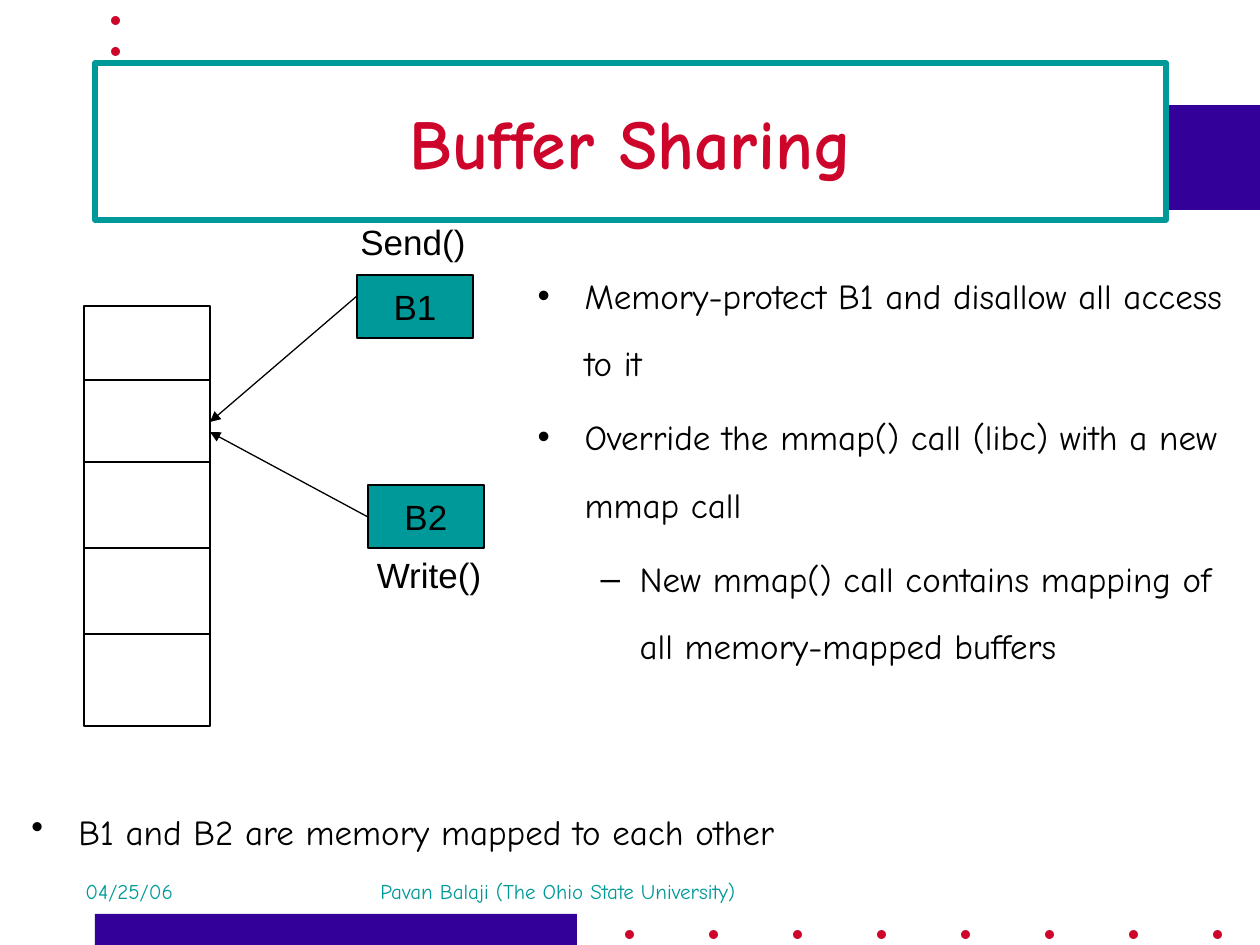
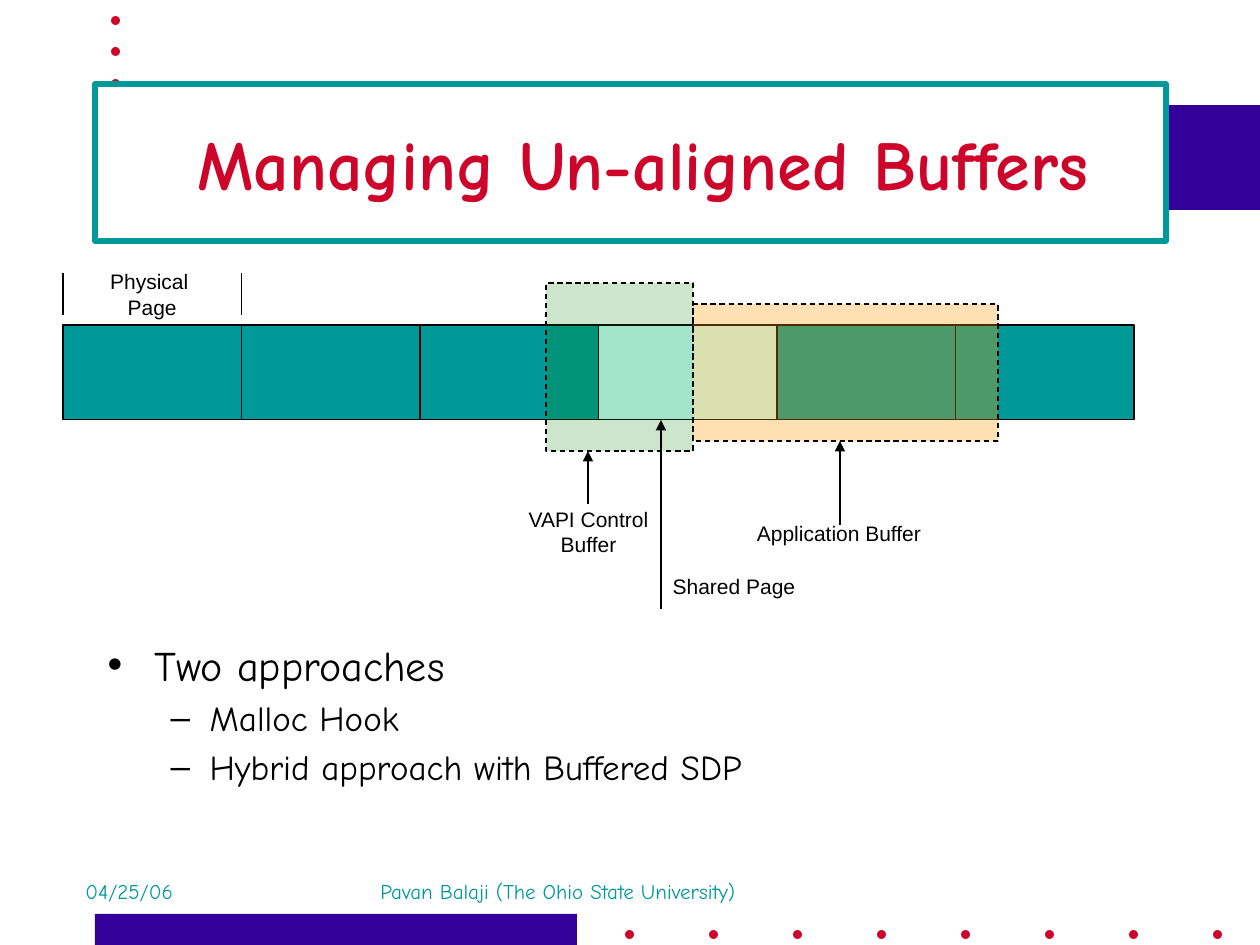
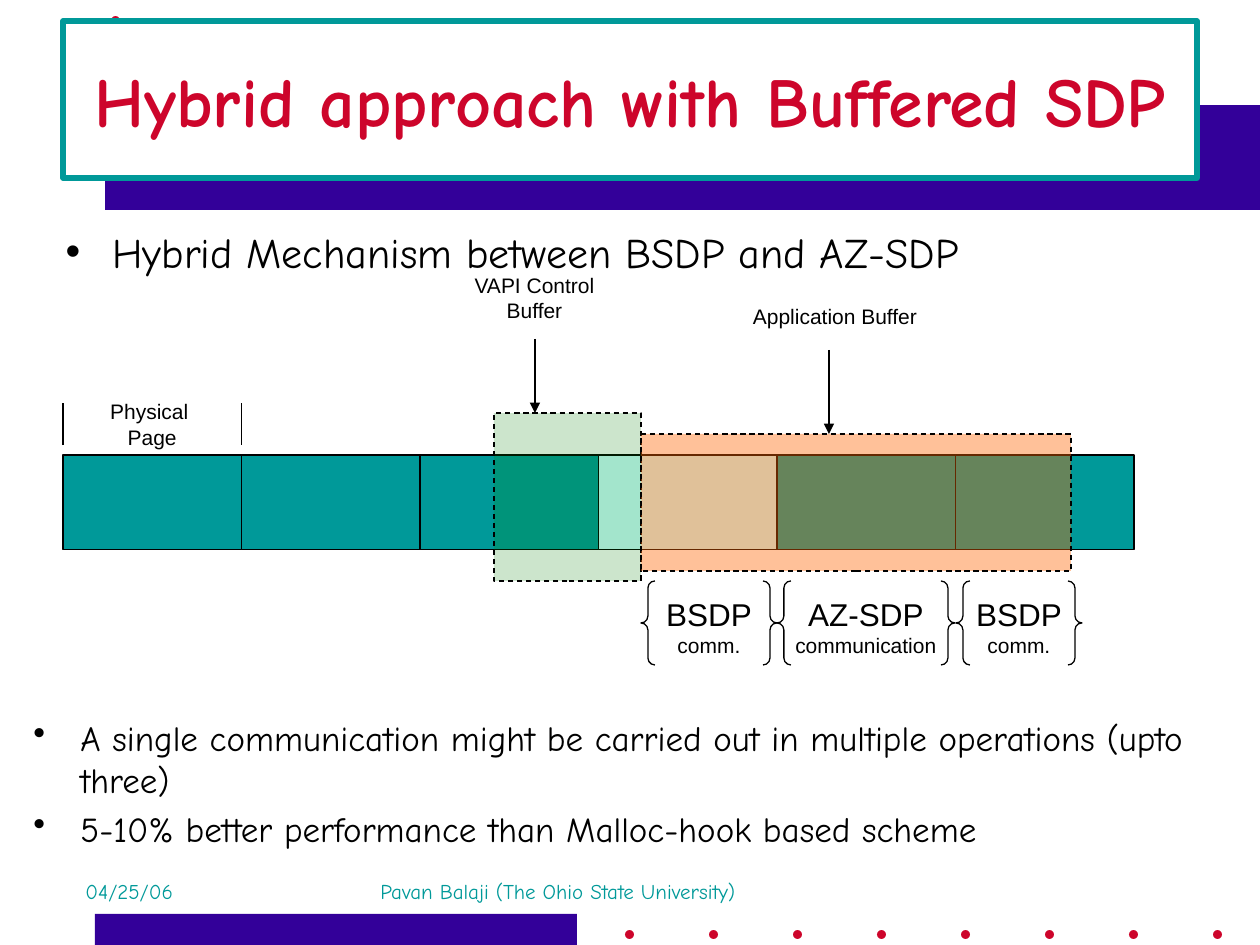
from lxml import etree
from pptx import Presentation
from pptx import util as u
from pptx.dml.color import RGBColor
from pptx.enum import dml, shapes, text
from pptx.oxml.ns import qn

SCALE = 914400 / 126  # EMU in one px
HUES = {
    "ink": "000000", "white": "FFFFFF", "teal": "009999", "pale": "CCFFFF",
    "red": "CD052B", "navy": "330099", "green": "008000",
    "amber": "FF9900", "orange": "FF6600",
}
COMIC, ARIAL = "Comic Neue", "Arial"
RECT = shapes.MSO_SHAPE.RECTANGLE
OVAL = shapes.MSO_SHAPE.OVAL
BRACE = shapes.MSO_SHAPE.LEFT_BRACE
PAIR = shapes.MSO_SHAPE.DOUBLE_BRACE
MID = text.PP_ALIGN.CENTER
INDENTS = [(47, -47, "•"), (102, -39, "–")]  # margin, indent, bullet


def px(n):
    return u.Emu(round(n * SCALE))


def hue(name):
    return RGBColor.from_string(HUES[name])


def style(para, size, font, color="ink", bold=False):
    for run in para.runs:
        run.font.size = u.Pt(size)
        run.font.name = font
        run.font.bold = bold
        run.font.color.rgb = hue(color)


def write(frame, words, sizes, font=ARIAL, color="ink", align=MID, bold=False):
    """Fill a frame; sizes holds one size per paragraph."""
    frame.text = words
    for para, size in zip(frame.paragraphs, sizes):
        para.alignment = align
        style(para, size, font, color, bold)


def place(item, box):
    item.left, item.top, item.width, item.height = map(px, box)


def shape(slide, kind, box, fill=None, line="ink", alpha=None):
    item = slide.shapes.add_shape(kind, *map(px, box))
    item.shadow.inherit = False
    if fill:
        item.fill.solid()
        item.fill.fore_color.rgb = hue(fill)
    else:
        item.fill.background()
    if alpha:
        clr = item._element.spPr.find(".//" + qn("a:srgbClr"))
        etree.SubElement(clr, qn("a:alpha"), val=str(alpha * 1000))
    if line:
        item.line.color.rgb = hue(line)
        item.line.width = u.Pt(0.75)
    else:
        item.line.fill.background()
    return item


def block(slide, kind, box, words, sizes, fill=None):
    """Shape with centred words."""
    item = shape(slide, kind, box, fill)
    frame = item.text_frame
    frame.word_wrap = False
    frame.vertical_anchor = text.MSO_ANCHOR.MIDDLE
    write(frame, words, sizes)
    return item


def zone(slide, box, fill, alpha):
    """See-through dashed area."""
    item = shape(slide, RECT, box, fill, alpha=alpha)
    item.line.dash_style = dml.MSO_LINE.DASH


def label(slide, box, words, size=12, wrap=True, **kw):
    item = slide.shapes.add_textbox(*map(px, box))
    item.text_frame.word_wrap = wrap
    write(item.text_frame, words, [size], **kw)


def line(slide, x1, y1, x2, y2, arrow=False):
    link = slide.shapes.add_connector(
        shapes.MSO_CONNECTOR.STRAIGHT, *map(px, (x1, y1, x2, y2)))
    link.line.color.rgb = hue("ink")
    link.line.width = u.Pt(0.75)
    if arrow:
        etree.SubElement(link.line._get_or_add_ln(), qn("a:tailEnd"), type="triangle")
    etree.SubElement(link._element.spPr, qn("a:effectLst"))


def points(item, box, rows, space=1.0):
    """Bulleted list; each row is (level, size, words)."""
    place(item, box)
    frame = item.text_frame
    frame.word_wrap = True
    frame.auto_size = text.MSO_AUTO_SIZE.NONE
    frame.text = "\n".join(row[2] for row in rows)
    for i, (para, (level, size, _)) in enumerate(zip(frame.paragraphs, rows)):
        margin, indent, mark = INDENTS[level]
        para.level = level
        props = para._p.get_or_add_pPr()
        props.set("marL", str(px(margin)))
        props.set("indent", str(px(indent)))
        etree.SubElement(props, qn("a:buChar"), char=mark)
        para.line_spacing = space
        para.space_before = u.Pt(size * 0.2 if i else 0)
        style(para, size, COMIC)


def listing(slide, box, rows, space=1.0):
    item = slide.shapes.add_textbox(*map(px, box))
    points(item, box, rows, space)


def decor(deck, slide):
    """Draw bands and dots, then move them to the master."""
    parts = [shape(slide, RECT, (95, 914, 482, 31), "navy", None),
             shape(slide, RECT, (105, 105, 1155, 105), "navy", None)]
    spots = [(625 + 84 * i, 930) for i in range(8)]
    spots += [(111, 16 + 63 * i // 2) for i in range(3)]
    parts += [shape(slide, OVAL, (x, y, 9, 9), "red", None) for x, y in spots]
    tree = deck.slide_master.shapes._spTree
    for i, part in enumerate(parts):
        part._element.nvSpPr.cNvPr.id = 20 + i
        tree.append(part._element)


def start(deck, words, box):
    """New slide with framed title and footer."""
    slide = deck.slides.add_slide(deck.slide_layouts[1])
    title = slide.shapes.title
    place(title, box)
    title.fill.solid()
    title.fill.fore_color.rgb = hue("white")
    title.line.color.rgb = hue("teal")
    title.line.width = u.Pt(3)
    title.text_frame.auto_size = text.MSO_AUTO_SIZE.NONE
    title.text_frame.vertical_anchor = text.MSO_ANCHOR.MIDDLE
    write(title.text_frame, words, [40], COMIC, "red", bold=True)
    for x, wide, note in ((73, 262, "04/25/06"),
                          (368, 525, "Pavan Balaji (The Ohio State University)")):
        label(slide, (x, 872, wide, 53), note, font=COMIC, color="teal",
              align=text.PP_ALIGN.LEFT)
    return slide


def pages(slide, top):
    """Row of six memory pages, the first one measured."""
    for i in range(6):
        fill = "pale" if i == 3 else "teal"
        shape(slide, RECT, (63 + 178.5 * i, top, 178.5, 94.5), fill)
    mark = block(slide, PAIR, (63, top - 52, 178.5, 42), "Physical \nPage", [12, 12])
    mark.adjustments[0] = 0


def buffers(slide, top, left, split, right, fill, alpha):
    """Control and application buffers over the pages."""
    zone(slide, (left, top - 42, split - left, 168), "green", 20)
    zone(slide, (split, top - 21, right - split, 137), fill, alpha)


def sharing(deck):
    slide = start(deck, "Buffer Sharing", (95, 63, 1071, 157))
    points(slide.placeholders[1], (525, 243, 735, 536), [
        (0, 20, "Memory-protect B1 and disallow all access to it"),
        (0, 20, "Override the mmap() call (libc) with a new mmap call"),
        (1, 20, "New mmap() call contains mapping of all memory-mapped buffers"),
    ], 1.6)
    # Memory column
    shape(slide, RECT, (84, 306, 126, 420))
    for y in (380, 462, 548, 634):
        line(slide, 84, y, 210, y)
    # Buffers and their mapping
    block(slide, RECT, (357, 275, 116, 63), "B1", [20], "teal")
    block(slide, RECT, (368, 485, 116, 63), "B2", [20], "teal")
    line(slide, 357, 296, 210, 422, True)
    line(slide, 368, 517, 210, 432, True)
    label(slide, (348, 214, 130, 54), "Send()", 20, False)
    label(slide, (364, 547, 130, 54), "Write()", 20, False)
    listing(slide, (19, 779, 1084, 50),
            [(0, 20, "B1 and B2 are memory mapped to each other")], 1.6)
    return slide


def aligning(deck):
    slide = start(deck, " Managing Un-aligned Buffers", (95, 84, 1071, 157))
    points(slide.placeholders[1], (95, 633, 1071, 207), [
        (0, 24, "Two approaches"),
        (1, 20, "Malloc Hook"),
        (1, 20, "Hybrid approach with Buffered SDP"),
    ])
    pages(slide, 325)
    buffers(slide, 325, 546, 693, 998, "amber", 30)
    # Pointers and names
    line(slide, 840, 525, 840, 441, True)
    line(slide, 588, 504, 588, 451, True)
    line(slide, 661, 609, 661, 420, True)
    label(slide, (516, 500, 145, 88), "VAPI Control Buffer")
    label(slide, (735, 514, 208, 38), "Application Buffer")
    label(slide, (630, 567, 208, 38), "Shared Page")


def hybrid(deck):
    slide = start(deck, "Hybrid approach with Buffered SDP", (63, 21, 1134, 157))
    points(slide.placeholders[1], (53, 220, 1134, 63),
           [(0, 24, "Hybrid Mechanism between BSDP and AZ-SDP")])
    pages(slide, 455)
    buffers(slide, 455, 494, 641, 1071, "orange", 40)
    # Pointers and names
    line(slide, 829, 350, 829, 434, True)
    line(slide, 535, 339, 535, 413, True)
    label(slide, (462, 266, 145, 88), "VAPI Control Buffer")
    label(slide, (731, 297, 208, 38), "Application Buffer")
    # Scheme used by each part
    for x, wide, words in ((641, 136, "BSDP\ncomm."),
                           (777, 178, "AZ-SDP\ncommunication"),
                           (956, 126, "BSDP\ncomm.")):
        pair = block(slide, PAIR, (x, 581, wide, 84), words, [18, 12])
        pair.adjustments[0] = 0.083
    listing(slide, (21, 710, 1235, 183), [
        (0, 20, "A single communication might be carried out in multiple "
                "operations (upto three)"),
        (0, 20, "5-10% better performance than Malloc-hook based scheme"),
    ])


def main():
    deck = Presentation()
    deck.slide_width, deck.slide_height = px(1260), px(945)
    first = sharing(deck)
    decor(deck, first)
    aligning(deck)
    hybrid(deck)
    deck.save("out.pptx")


if __name__ == "__main__":
    main()
